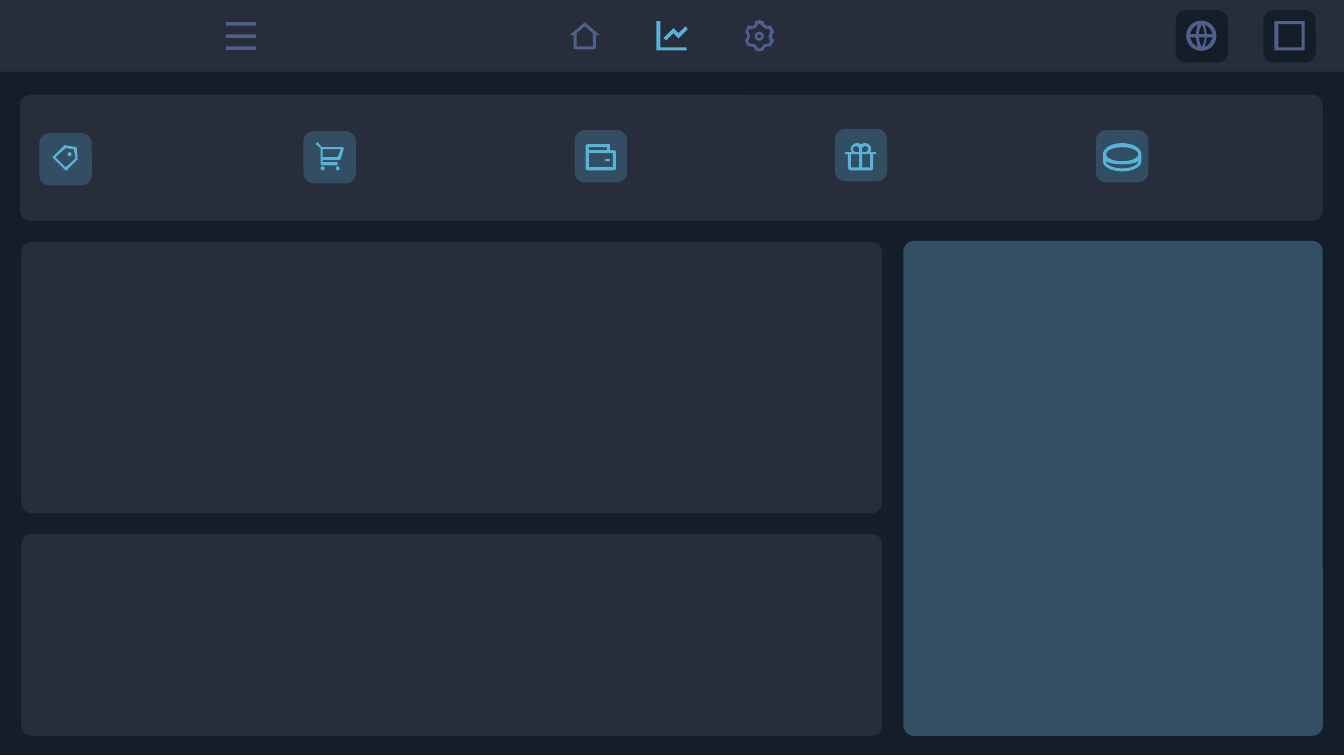
"""Build a dark dashboard template with a navigation bar, five metric icons and empty panels."""
import math
from dataclasses import dataclass

from lxml import etree
from pptx import Presentation
from pptx.dml.color import RGBColor
from pptx.enum import shapes
from pptx.oxml import ns
from pptx.util import Inches


@dataclass(frozen=True)
class Theme:
    night: str = "141E28"
    panel: str = "282D3C"
    steel: str = "334F63"
    accent: str = "55B4D7"
    muted: str = "505F8C"


def box(left, top, right, bottom):
    return [(left, top), (right, top), (right, bottom), (left, bottom)]


def arc(cx, cy, rx, ry, start=0, end=360):
    angles = [math.radians(start + (end - start) * step / 24) for step in range(25)]
    return [(cx + rx * math.cos(a), cy + ry * math.sin(a)) for a in angles]


theme = Theme()
deck = Presentation()
deck.slide_width, deck.slide_height = Inches(13.33), Inches(7.5)
slide = deck.slides.add_slide(deck.slide_layouts[6])

panels = [
    (0, 0, 13.33, 7.49, 0, theme.night, 100),
    (0, 0, 13.33, 0.71, 0, theme.panel, 100),
    (0.2, 0.94, 12.92, 1.25, 0.083, theme.panel, 100),
    (0.21, 2.4, 8.54, 2.69, 0.039, theme.panel, 100),
    (0.21, 5.3, 8.54, 2, 0.052, theme.panel, 100),
    (8.96, 2.39, 4.16, 4.91, 0.025, theme.steel, 100),
]
metric_tiles = [(0.39, 1.32), (3.01, 1.3), (5.7, 1.29), (8.28, 1.28), (10.87, 1.29)]
panels += [(x, y, 0.52, 0.52, 0.2, theme.accent, 25) for x, y in metric_tiles]
panels += [(x, 0.1, 0.52, 0.52, 0.2, theme.night, 100) for x in (11.66, 12.53)]

for left, top, width, height, rounding, color, opacity in panels:
    kind = shapes.MSO_SHAPE.ROUNDED_RECTANGLE if rounding else shapes.MSO_SHAPE.RECTANGLE
    panel = slide.shapes.add_shape(kind, Inches(left), Inches(top), Inches(width), Inches(height))
    if rounding:
        panel.adjustments[0] = rounding
    panel.shadow.inherit = False
    panel.line.fill.background()
    panel.fill.solid()
    panel.fill.fore_color.rgb = RGBColor.from_string(color)
    if opacity < 100:
        tint = panel.fill._xPr.find(".//" + ns.qn("a:srgbClr"))
        etree.SubElement(tint, ns.qn("a:alpha")).set("val", str(opacity * 1000))

tag = [
    [(0.64, 1.44), (0.76, 1.46), (0.77, 1.58), (0.66, 1.69), (0.65, 1.69),
     (0.53, 1.57), (0.52, 1.56), (0.53, 1.55)],
    [(0.65, 1.47), (0.55, 1.56), (0.65, 1.66), (0.75, 1.57), (0.73, 1.48)],
    arc(0.69, 1.53, 0.02, 0.02),
]
cart = [
    [(3.18, 1.47), (3.13, 1.43), (3.15, 1.41), (3.19, 1.46), (3.4, 1.46), (3.41, 1.47),
     (3.38, 1.58), (3.36, 1.59), (3.2, 1.59), (3.2, 1.61), (3.35, 1.61), (3.35, 1.64),
     (3.19, 1.64), (3.18, 1.63)],
    [(3.2, 1.48), (3.2, 1.56), (3.35, 1.56), (3.38, 1.48)],
    arc(3.2, 1.67, 0.02, 0.02),
    arc(3.35, 1.67, 0.02, 0.02),
]
wallet = [
    [(5.83, 1.43), (6.05, 1.43), (6.05, 1.49), (6.09, 1.49), (6.11, 1.5), (6.11, 1.68),
     (6.09, 1.69), (5.83, 1.69), (5.81, 1.68), (5.81, 1.44)],
    box(5.84, 1.52, 6.08, 1.66),
    box(5.84, 1.46, 6.02, 1.49),
    box(6, 1.58, 6.05, 1.6),
]
gift = [
    arc(8.5, 1.48, 0.06, 0.06, 300, 150)
    + [(8.38, 1.51), (8.38, 1.53), (8.41, 1.53), (8.41, 1.67), (8.43, 1.69), (8.65, 1.69),
       (8.66, 1.67), (8.66, 1.53), (8.69, 1.53), (8.69, 1.51)]
    + arc(8.58, 1.48, 0.06, 0.06, 30, -120),
    box(8.55, 1.53, 8.63, 1.66),
    box(8.44, 1.53, 8.52, 1.66),
    arc(8.49, 1.48, 0.03, 0.03, 90, 360) + [(8.52, 1.51)],
    arc(8.58, 1.48, 0.03, 0.03, 180, 450) + [(8.55, 1.51)],
]
coin = [
    arc(11.13, 1.53, 0.19, 0.11, 180, 360) + arc(11.13, 1.6, 0.19, 0.1, 0, 180),
    arc(11.13, 1.6, 0.16, 0.07, 0, 180) + arc(11.13, 1.59, 0.16, 0.04, 180, 0),
    arc(11.13, 1.53, 0.16, 0.07),
]
menu = [box(2.24, 0.22 + 0.12 * row, 2.54, 0.255 + 0.12 * row) for row in range(3)]
trend = [
    [(6.55, 0.21), (6.55, 0.47), (6.81, 0.47), (6.81, 0.5), (6.51, 0.5), (6.51, 0.21)],
    [(6.8, 0.26), (6.82, 0.29), (6.73, 0.38), (6.68, 0.33), (6.61, 0.4), (6.58, 0.38),
     (6.68, 0.28), (6.73, 0.33)],
]
gear = [
    [(7.4, 0.43), (7.39, 0.4), (7.41, 0.37), (7.41, 0.34), (7.39, 0.32), (7.42, 0.25),
     (7.46, 0.26), (7.49, 0.24), (7.49, 0.21), (7.53, 0.2), (7.57, 0.21), (7.58, 0.24),
     (7.61, 0.26), (7.64, 0.25), (7.66, 0.28), (7.68, 0.32), (7.66, 0.34), (7.66, 0.38),
     (7.68, 0.4), (7.64, 0.46), (7.6, 0.46), (7.58, 0.48), (7.57, 0.5), (7.53, 0.51),
     (7.49, 0.5), (7.48, 0.47), (7.45, 0.46), (7.42, 0.46)],
    [(7.49, 0.44), (7.52, 0.48), (7.54, 0.48), (7.58, 0.44), (7.63, 0.43), (7.64, 0.41),
     (7.62, 0.36), (7.64, 0.31), (7.63, 0.29), (7.58, 0.28), (7.54, 0.24), (7.52, 0.24),
     (7.49, 0.28), (7.43, 0.29), (7.42, 0.31), (7.44, 0.36), (7.42, 0.41), (7.43, 0.43)],
    arc(7.53, 0.36, 0.045, 0.045),
    arc(7.53, 0.36, 0.02, 0.02),
]
home = [
    [(5.89, 0.49), (5.71, 0.49), (5.69, 0.48), (5.69, 0.35), (5.65, 0.35), (5.79, 0.23),
     (5.8, 0.22), (5.81, 0.23), (5.95, 0.35), (5.91, 0.35), (5.91, 0.48)],
    [(5.72, 0.46), (5.88, 0.46), (5.88, 0.33), (5.8, 0.26), (5.72, 0.33)],
]
frame = [box(12.64, 0.21, 12.94, 0.5), box(12.68, 0.24, 12.91, 0.47)]

west = [(11.8, 0.34), (11.86, 0.34), (11.87, 0.29), (11.88, 0.24), (11.83, 0.28)]
east = [(23.83 - x, y) for x, y in west]
middle = [(11.89, 0.34), (11.95, 0.34), (11.94, 0.29), (11.92, 0.24), (11.9, 0.29)]
north = [west, middle, east]
south = [[(x, 0.71 - y) for x, y in gap] for gap in north]
globe = [arc(11.915, 0.355, 0.15, 0.15)] + north + south

icons = [(theme.accent, icon) for icon in (tag, cart, wallet, gift, coin, trend)]
icons += [(theme.muted, icon) for icon in (menu, gear, home, frame, globe)]
for color, contours in icons:
    first, *others = [[(Inches(x), Inches(y)) for x, y in contour] for contour in contours]
    builder = slide.shapes.build_freeform(*first[0])
    builder.add_line_segments(first[1:], close=True)
    for contour in others:
        builder.move_to(*contour[0])
        builder.add_line_segments(contour[1:], close=True)
    symbol = builder.convert_to_shape()
    symbol.shadow.inherit = False
    symbol.line.fill.background()
    symbol.fill.solid()
    symbol.fill.fore_color.rgb = RGBColor.from_string(color)

deck.save("out.pptx")
